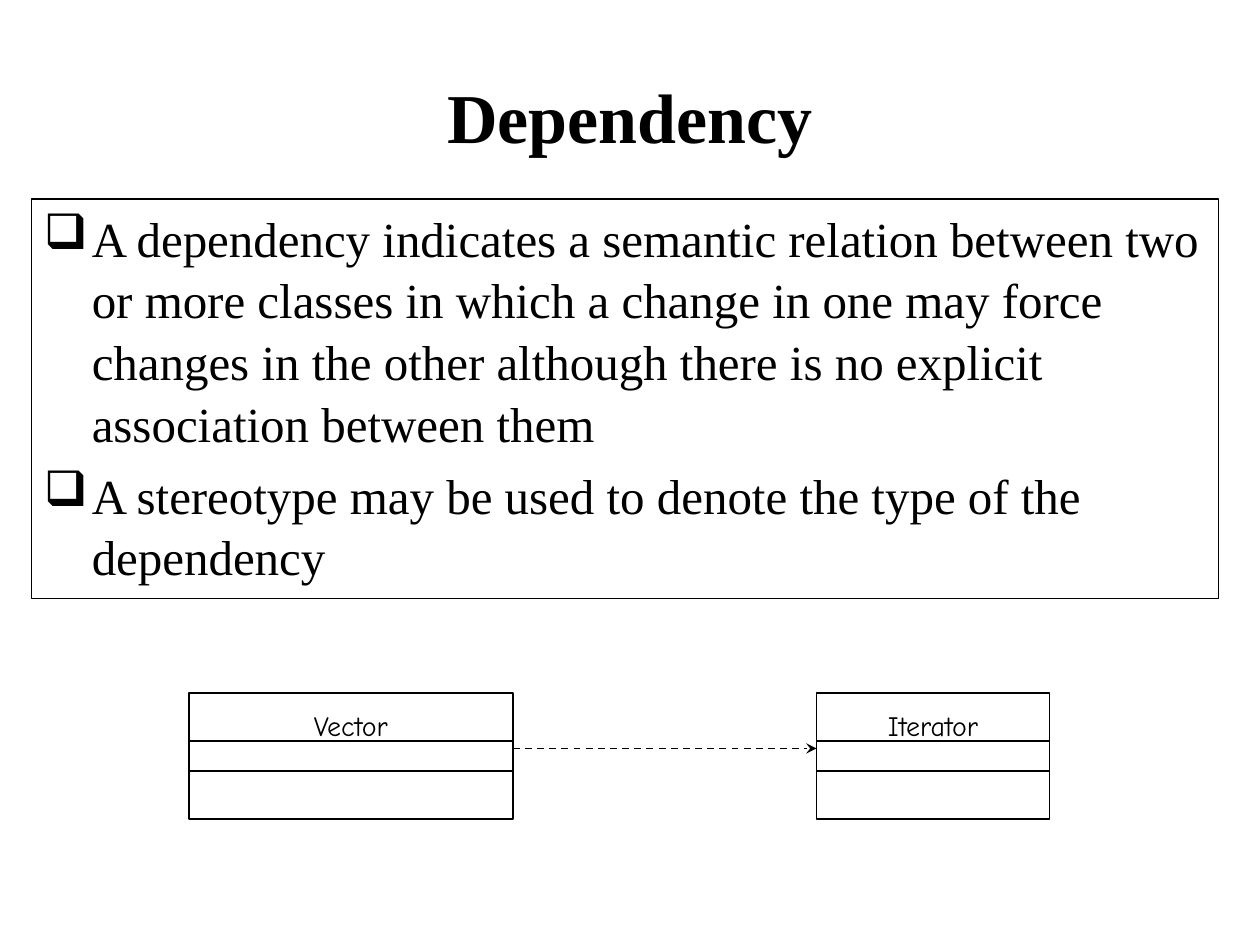
"""Build the Dependency slide: a title, two bullets and a class diagram."""
from lxml import etree
from pptx import Presentation
from pptx.dml.color import RGBColor
from pptx.enum.dml import MSO_LINE
from pptx.enum.shapes import MSO_CONNECTOR, MSO_SHAPE
from pptx.enum.text import MSO_ANCHOR, PP_ALIGN
from pptx.oxml.ns import qn
from pptx.util import Inches, Pt

RECT, LINE, DASH = MSO_SHAPE.RECTANGLE, MSO_CONNECTOR.STRAIGHT, MSO_LINE.DASH
TOP, MIDDLE = MSO_ANCHOR.TOP, MSO_ANCHOR.MIDDLE
LEFT, CENTER = PP_ALIGN.LEFT, PP_ALIGN.CENTER

COLORS = {"ink": "000000"}
SERIF, COMIC = "Times New Roman", "Comic Neue"
TITLE = "Dependency"
POINTS = [
    "A dependency indicates a semantic relation between two or more classes "
    "in which a change in one may force changes in the other although there "
    "is no explicit association between them",
    "A stereotype may be used to denote the type of the dependency",
]
CLASSES = [("Vector", 1.5, 2.57), ("Iterator", 6.48, 1.85)]
CLASS_TOP, CLASS_TALL = 5.5, 1
RULES = (5.88, 6.12)
ARROW_Y = 5.94
INDENT = 0.38

INK = RGBColor.from_string(COLORS["ink"])


def add_rect(slide, box, width):
    rect = slide.shapes.add_shape(RECT, *map(Inches, box))
    rect.shadow.inherit = False
    rect.fill.background()
    rect.line.color.rgb = INK
    rect.line.width = Pt(width)
    return rect


def add_line(slide, left, right, y):
    line = slide.shapes.add_connector(LINE, *map(Inches, (left, y, right, y)))
    line.line.color.rgb = INK
    line.line.width = Pt(1)
    etree.SubElement(line._element.spPr, qn("a:effectLst"))
    return line


def add_bullet(para):
    props = para._p.get_or_add_pPr()
    props.set("marL", str(Inches(INDENT)))
    props.set("indent", str(Inches(-INDENT)))
    etree.SubElement(props, qn("a:buChar")).set("char", "❑")


def write(shape, texts, font, size, align, anchor, bold=False, bullet=False):
    frame = shape.text_frame
    frame.word_wrap = True
    frame.vertical_anchor = anchor
    for i, text in enumerate(texts):
        para = frame.add_paragraph() if i else frame.paragraphs[0]
        para.alignment = align
        if bullet:
            add_bullet(para)
            para.line_spacing = 1.05
            para.space_before = Pt(5.6 if i else 0)
        run = para.add_run()
        run.text = text
        run.font.name, run.font.size, run.font.bold = font, Pt(size), bold
        run.font.color.rgb = INK


def add_class(slide, name, left, width):
    rect = add_rect(slide, (left, CLASS_TOP, width, CLASS_TALL), 1)
    rect.text_frame.margin_top = Inches(0.12)
    write(rect, [name], COMIC, 16, CENTER, TOP)
    for y in RULES:
        add_line(slide, left, left + width, y)


def add_arrow(slide, left, right):
    arrow = add_line(slide, left, right, ARROW_Y)
    arrow.line.dash_style = DASH
    etree.SubElement(arrow.line._get_or_add_ln(), qn("a:tailEnd")).set("type", "stealth")


def main():
    deck = Presentation()
    deck.slide_width, deck.slide_height = Inches(10), Inches(7.5)
    slide = deck.slides.add_slide(deck.slide_layouts[6])
    title = slide.shapes.add_textbox(*map(Inches, (0.75, 0.58, 8.5, 0.67)))
    write(title, [TITLE], SERIF, 40, CENTER, MIDDLE, bold=True)
    body = add_rect(slide, (0.25, 1.58, 9.42, 3.17), 0.75)
    write(body, POINTS, SERIF, 28, LEFT, TOP, bullet=True)
    for item in CLASSES:
        add_class(slide, *item)
    (_, left, width), (_, right, _) = CLASSES
    add_arrow(slide, left + width, right)
    deck.save("out.pptx")


if __name__ == "__main__":
    main()
